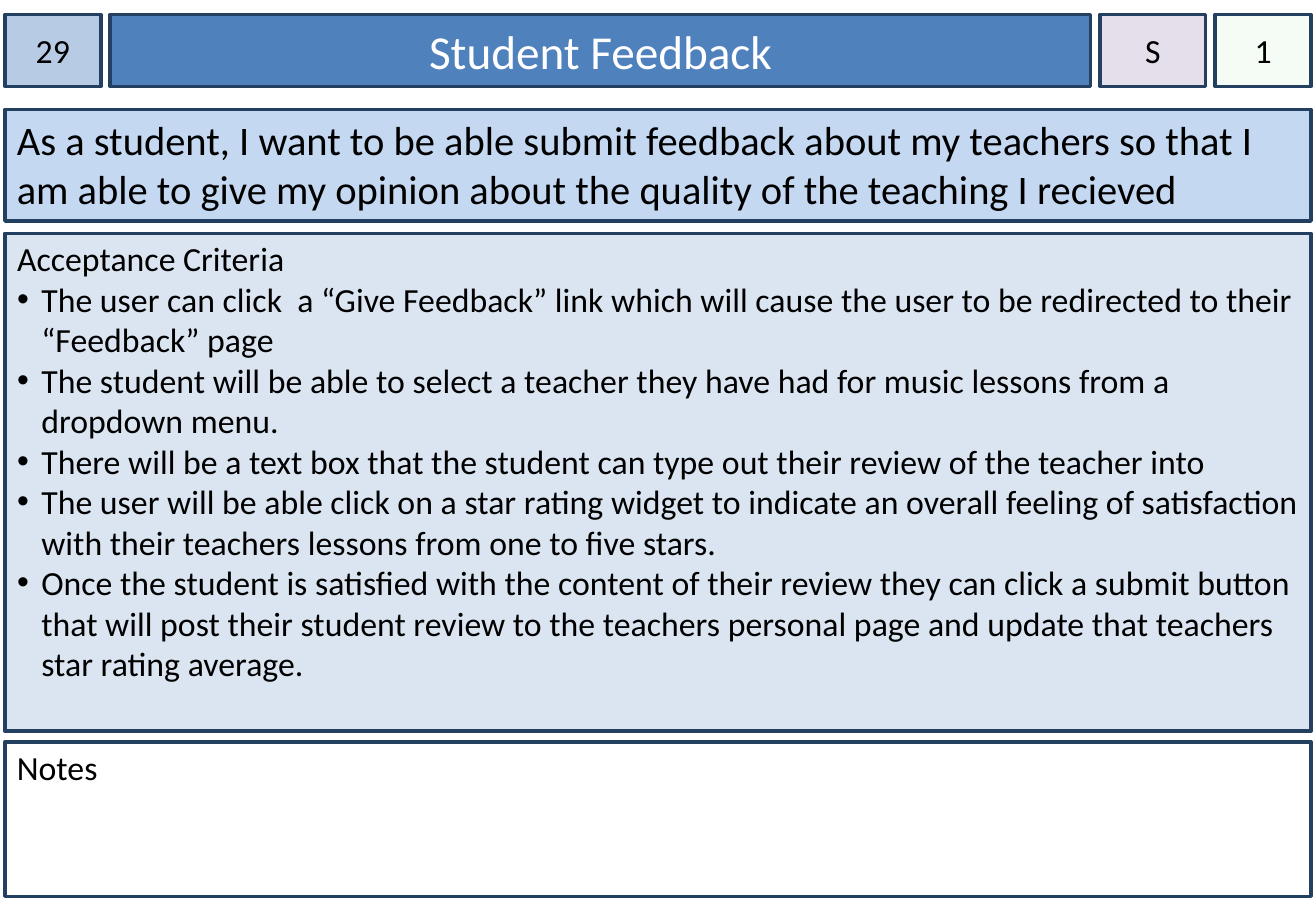
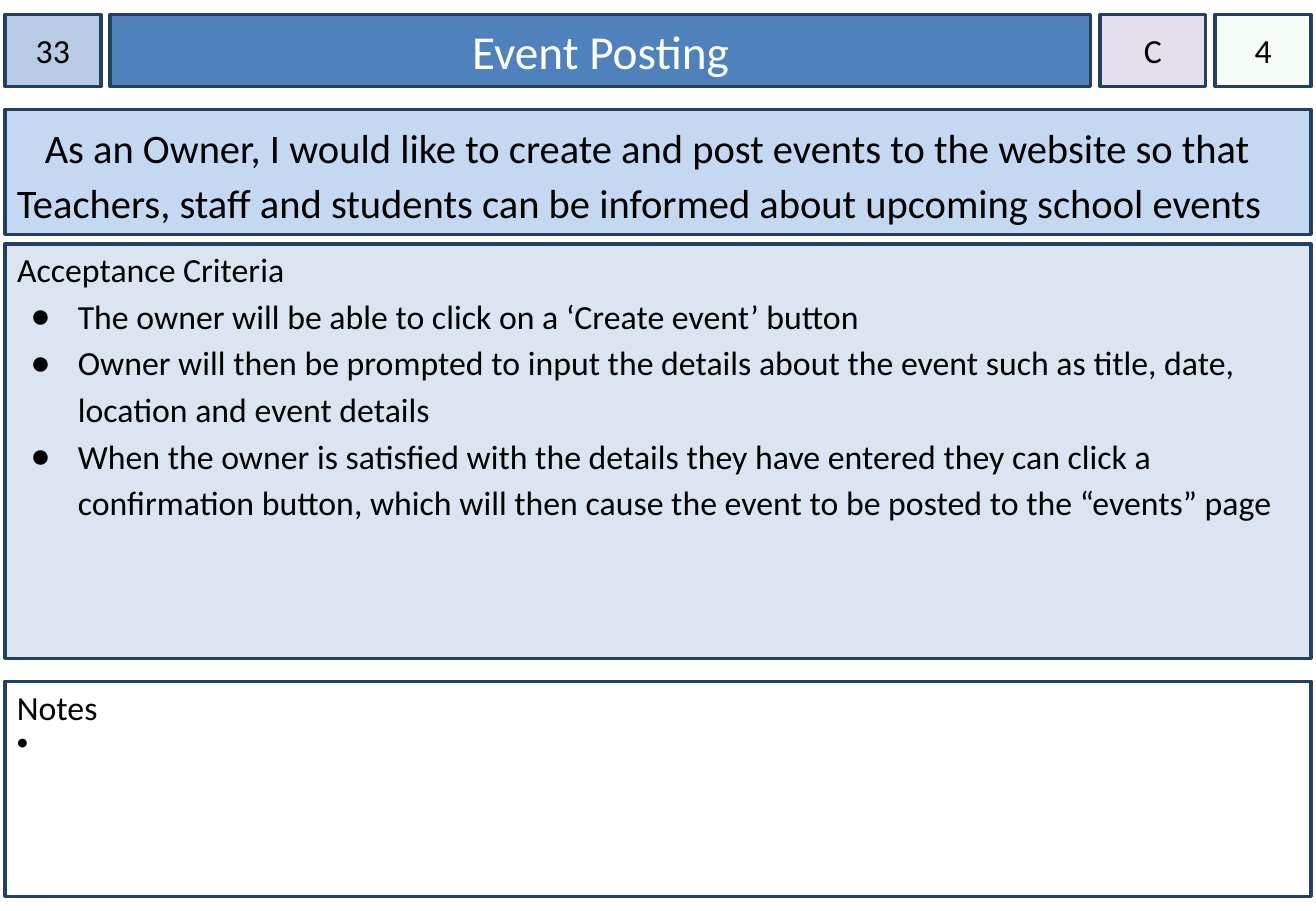
import pptx
import pptx.util
import pptx.dml.color
import pptx.enum.shapes
import pptx.enum.text
import lxml.etree

Inches = pptx.util.Inches
ALIGN = pptx.enum.text.PP_ALIGN
ANCHOR = pptx.enum.text.MSO_ANCHOR

COLORS = {
    "border": "244061",
    "number": "B7CCE4",
    "title": "4F81BD",
    "priority": "E5DFEC",
    "estimate": "CCF0CD",
    "story": "C5D8F1",
    "criteria": "DAE5F1",
    "notes": "FFFFFF",
    "text": "000000",
    "title_text": "FFFFFF",
}
FONT = "Calibri"
LEFT, WIDTH, BOTTOM = 0.04, 10.75, 7.38
HEADER_TOP, HEADER_HEIGHT, STORY_TOP = 0.12, 0.59, 0.9
HEADER_WIDTHS = (0.79, 8.07, 0.87, 0.79)

STORIES = [
    {
        "number": "29",
        "title": "Student Feedback",
        "priority": "S",
        "estimate": "1",
        "story": "As a student, I want to be able submit feedback about my teachers so that "
                 "I am able to give my opinion about the quality of the teaching I recieved",
        "story_height": 0.92,
        "first_line": 0,
        "spacing": 1.0,
        "criteria": [
            "The user can click  a “Give Feedback” link which will cause the user to be "
            "redirected to their “Feedback” page",
            "The student will be able to select a teacher they have had for music lessons "
            "from a dropdown menu.",
            "There will be a text box that the student can type out their review of the "
            "teacher into",
            "The user will be able click on a star rating widget to indicate an overall "
            "feeling of satisfaction with their teachers lessons from one to five stars.",
            "Once the student is satisfied with the content of their review they can click "
            "a submit button that will post their student review to the teachers personal "
            "page and update that teachers star rating average.",
        ],
        "criteria_span": (1.92, 4.1),
        "bullet": ("•", 0.2, 0.2),
        "notes": [],
        "notes_top": 6.11,
    },
    {
        "number": "33",
        "title": "Event Posting",
        "priority": "C",
        "estimate": "4",
        "story": "As an Owner, I would like to create and post events to the website so that "
                 "Teachers, staff and students can be informed about upcoming school events",
        "story_height": 1.03,
        "first_line": 0.23,
        "spacing": 1.15,
        "criteria": [
            "The owner will be able to click on a ‘Create event’ button",
            "Owner will then be prompted to input the details about the event such as "
            "title, date, location and event details",
            "When the owner is satisfied with the details they have entered they can click "
            "a confirmation button, which will then cause the event to be posted to the "
            "“events” page",
        ],
        "criteria_span": (2.01, 3.41),
        "bullet": ("●", 0.5, 0.39),
        "notes": [" "],
        "notes_top": 5.61,
    },
]


def rgb(name):
    return pptx.dml.color.RGBColor.from_string(COLORS[name])


def add_rectangle(page):
    shape = page.shapes.add_shape(pptx.enum.shapes.MSO_SHAPE.RECTANGLE, 0, 0, 0, 0)
    shape.shadow.inherit = False
    return shape


def style_box(shape, box, color, anchor=ANCHOR.TOP, side=0.1, top=0.05):
    """Place a bordered, filled panel and return its text frame."""
    shape.left, shape.top, shape.width, shape.height = map(Inches, box)
    shape.fill.solid()
    shape.fill.fore_color.rgb = rgb(color)
    shape.line.color.rgb = rgb("border")
    shape.line.width = pptx.util.Pt(2)
    frame = shape.text_frame
    frame.word_wrap = True
    frame.auto_size = pptx.enum.text.MSO_AUTO_SIZE.NONE
    frame.vertical_anchor = anchor
    frame.margin_left = frame.margin_right = Inches(side)
    frame.margin_top, frame.margin_bottom = Inches(top), Inches(0.05)
    return frame


def write(para, text, size=20, color="text", align=ALIGN.LEFT, spacing=1.0,
          bullet=None, first_line=0):
    """Fill a paragraph; bullet is (character, margin, hanging indent)."""
    mark, margin, hanging = bullet or (None, 0, -first_line)
    para.text = text
    properties = para._p.get_or_add_pPr()
    properties.set("marL", str(Inches(margin)))
    properties.set("indent", str(Inches(-hanging)))
    tag = pptx.oxml.ns.qn("a:buChar" if mark else "a:buNone")
    element = lxml.etree.SubElement(properties, tag)
    if mark:
        element.set("char", mark)
    para.alignment = align
    para.line_spacing = spacing
    para.space_before = pptx.util.Pt(0)
    para.font.name = FONT
    para.font.size = pptx.util.Pt(size)
    para.font.color.rgb = rgb(color)


def write_list(frame, heading, items, bullet, spacing=1.0):
    write(frame.paragraphs[0], heading)
    for item in items:
        write(frame.add_paragraph(), item, bullet=bullet, spacing=spacing)


def make_translucent(shape, percent):
    color = shape.fill._xPr.find(".//" + pptx.oxml.ns.qn("a:srgbClr"))
    alpha = lxml.etree.SubElement(color, pptx.oxml.ns.qn("a:alpha"))
    alpha.set("val", str(percent * 1000))


def add_header(page, story, left, top, width, height):
    gap = (width - sum(HEADER_WIDTHS)) / (len(HEADER_WIDTHS) - 1)
    for name, cell_width in zip(("number", "title", "priority", "estimate"), HEADER_WIDTHS):
        is_title = name == "title"
        shape = page.shapes.title if is_title else add_rectangle(page)
        frame = style_box(shape, (left, top, cell_width, height), name,
                          ANCHOR.MIDDLE, side=0.1 if is_title else 0)
        write(frame.paragraphs[0], story[name], 28 if is_title else 20,
              "title_text" if is_title else "text", ALIGN.CENTER)
        if name == "estimate":
            make_translucent(shape, 20)
        left += cell_width + gap


def add_story(page, story, box):
    frame = style_box(add_rectangle(page), box, "story")
    write(frame.paragraphs[0], story["story"], 24, spacing=story["spacing"],
          first_line=story["first_line"])


def add_criteria(page, story, box):
    frame = style_box(page.placeholders[1], box, "criteria", top=0.04)
    write_list(frame, "Acceptance Criteria", story["criteria"], story["bullet"],
               story["spacing"])


def add_notes(page, story, box):
    frame = style_box(add_rectangle(page), box, "notes", top=0.04)
    write_list(frame, "Notes", story["notes"], ("•", 0.2, 0.2))


def add_story_card(deck, story):
    page = deck.slides.add_slide(deck.slide_layouts[1])
    add_header(page, story, LEFT, HEADER_TOP, WIDTH, HEADER_HEIGHT)
    add_story(page, story, (LEFT, STORY_TOP, WIDTH, story["story_height"]))
    top, height = story["criteria_span"]
    add_criteria(page, story, (LEFT, top, WIDTH, height))
    notes_top = story["notes_top"]
    add_notes(page, story, (LEFT, notes_top, WIDTH, BOTTOM - notes_top))


def main():
    deck = pptx.Presentation()
    deck.slide_width, deck.slide_height = Inches(10.83), Inches(7.5)
    for story in STORIES:
        add_story_card(deck, story)
    deck.save("out.pptx")


if __name__ == "__main__":
    main()
